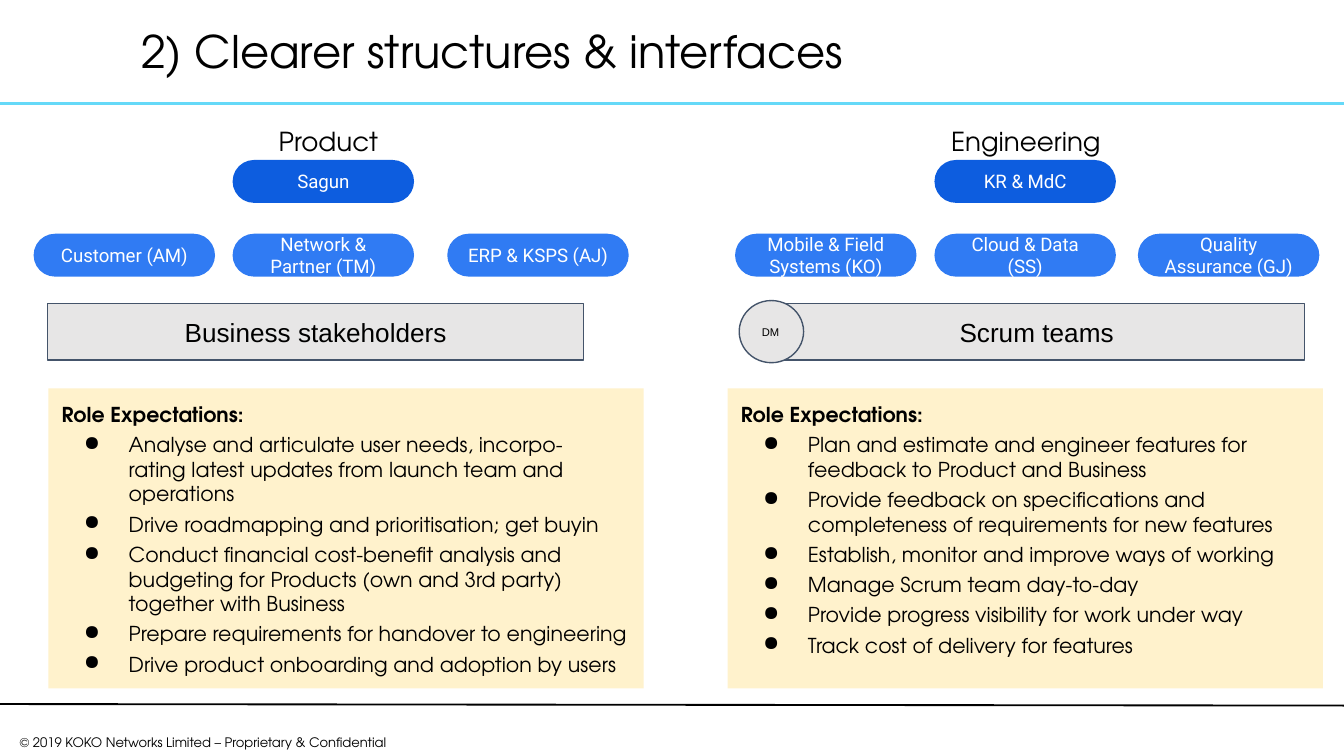
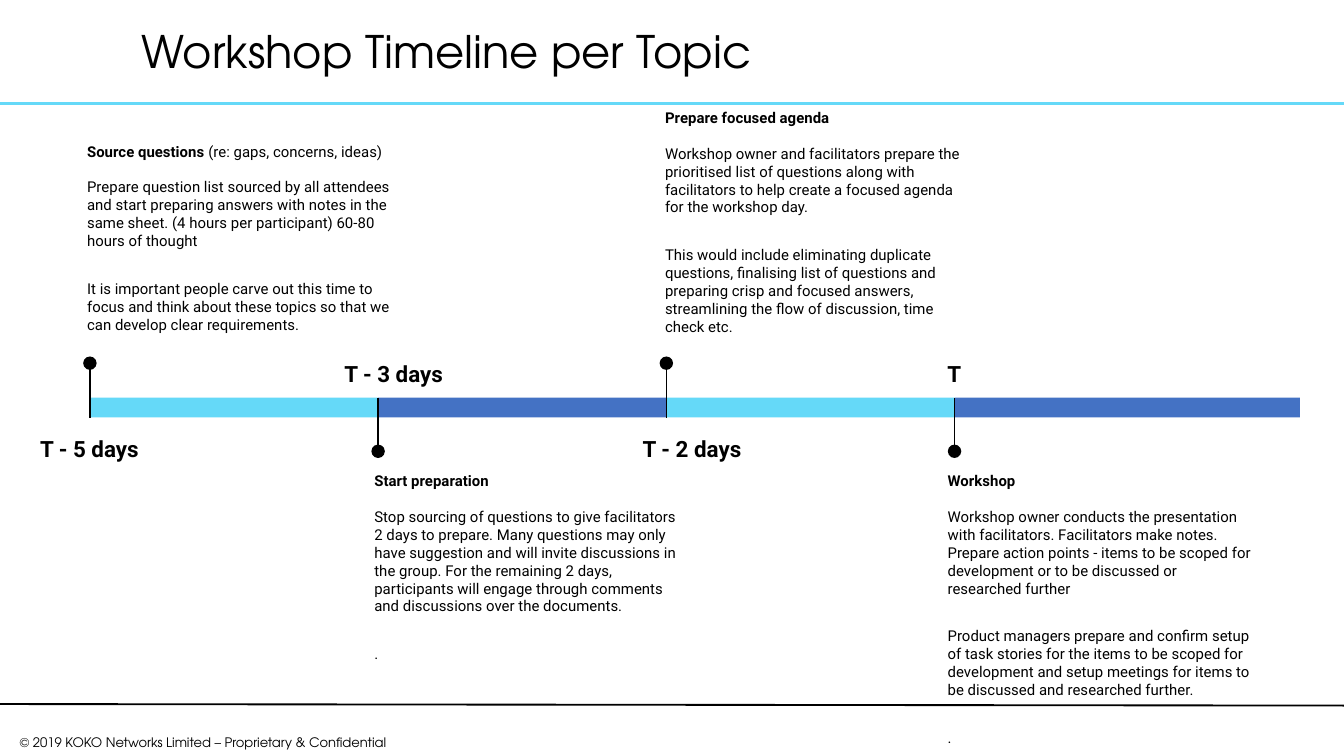
"""Build two slides: team structures and a workshop timeline."""
from lxml import etree
from pptx import Presentation
from pptx import util as u
from pptx.dml import color as dml
from pptx.enum import shapes as es, text as et
from pptx.oxml import ns

Pt = u.Pt
rgb = dml.RGBColor.from_string
SHAPE, ALIGN, ANCHOR = es.MSO_SHAPE, et.PP_ALIGN, et.MSO_ANCHOR
ADVENTOR, ROBOTO, ARIAL = "TeX Gyre Adventor", "Roboto", "Arial"
BLACK, WHITE, CYAN, BLUE = "000000", "FFFFFF", "65D9F8", "4472C4"
LEAD, MEMBER, GREY, SLATE, CREAM = "0D5DDF", "307BF3", "E7E6E6", "44546A", "FFF2CC"


def place(shapes, kind, box, lines=(), size=10, font=ADVENTOR, ink=BLACK, fill=None,
          edge=None, align=ALIGN.CENTER, anchor=ANCHOR.TOP, bold=False, inset=(7.2, 7.2)):
    box = [Pt(v) for v in box]
    if kind is None:
        part = shapes.add_textbox(*box)
    else:
        part = shapes.add_shape(kind, *box)
        part.shadow.inherit = False
        part.fill.solid()
        part.fill.fore_color.rgb = rgb(fill)
        if edge:
            part.line.color.rgb = rgb(edge)
            part.line.width = Pt(0.75)
        else:
            part.line.fill.background()
    if kind == SHAPE.ROUNDED_RECTANGLE:
        part.adjustments[0] = 0.5
    frame = part.text_frame
    frame.word_wrap = True
    frame.vertical_anchor = anchor
    frame.margin_left = frame.margin_right = Pt(inset[0])
    frame.margin_top = frame.margin_bottom = Pt(inset[1])
    for i, line in enumerate(lines):
        paragraph = frame.add_paragraph() if i else frame.paragraphs[0]
        paragraph.text = line
        paragraph.alignment = align
        for run in paragraph.runs:
            run.font.size = Pt(size)
            run.font.name = font
            run.font.bold = bold
            run.font.color.rgb = rgb(ink)
    return frame.paragraphs


def rule(shapes, x1, y1, x2, y2, ink, width):
    line = shapes.add_connector(es.MSO_CONNECTOR.STRAIGHT, Pt(x1), Pt(y1), Pt(x2), Pt(y2))
    line.line.color.rgb = rgb(ink)
    line.line.width = Pt(width)
    etree.SubElement(line._element.spPr, ns.qn("a:effectLst"))


deck = Presentation()
deck.slide_width, deck.slide_height = Pt(720), Pt(405)

canvases = []
for title in ("2) Clearer structures & interfaces", "Workshop Timeline per Topic"):
    canvas = deck.slides.add_slide(deck.slide_layouts[6]).shapes
    rule(canvas, 0, 55.4, 720, 55.4, CYAN, 1.5)
    place(canvas, None, (0, 390.2, 217.4, 15),
          ["© 2019 KOKO Networks Limited – Proprietary & Confidential"], 7, inset=(5, 3))
    rule(canvas, 0, 377.2, 720, 378, BLACK, 1)
    heading = place(canvas, None, (70.6, 5.8, 622, 46), [title], 24, align=ALIGN.LEFT,
                    anchor=ANCHOR.MIDDLE, inset=(5, 3))
    heading[0].line_spacing = 0.9
    canvases.append(canvas)
structure, timeline = canvases

teams = [
    ("Product", 105.1, "Sagun", 124.6,
     [(18, "Customer (AM)"), (124.6, "Network & Partner (TM)"), (239.6, "ERP & KSPS (AJ)")],
     "Business stakeholders", 25.6, 25.9,
     ["Analyse and articulate user needs, incorpo-\nrating latest updates from launch team and operations",
      "Drive roadmapping and prioritisation; get buyin",
      "Conduct financial cost-benefit analysis and budgeting for Products (own and 3rd party) together with Business",
      "Prepare requirements for handover to engineering",
      "Drive product onboarding and adoption by users"]),
    ("Engineering", 478.8, "KR & MdC", 500.6,
     [(393.8, "Mobile & Field Systems (KO)"), (500.6, "Cloud & Data (SS)"),
      (609.6, "Quality Assurance (GJ)")],
     "Scrum teams", 411.8, 389.8,
     ["Plan and estimate and engineer features for feedback to Product and Business",
      "Provide feedback on specifications and completeness of requirements for new features",
      "Establish, monitor and improve ways of working",
      "Manage Scrum team day-to-day",
      "Provide progress visibility for work under way",
      "Track cost of delivery for features"]),
]
for team, team_x, lead, lead_x, members, partner, partner_x, roles_x, roles in teams:
    place(structure, None, (team_x, 59.8, 141.8, 33), [team], 14)
    pills = [(lead_x, 85.7, lead, LEAD)] + [(x, 125.2, name, MEMBER) for x, name in members]
    for x, y, name, fill in pills:
        place(structure, SHAPE.ROUNDED_RECTANGLE, (x, y, 97.2, 23), [name], 10, ROBOTO,
              WHITE, fill, anchor=ANCHOR.MIDDLE)
    place(structure, SHAPE.RECTANGLE, (partner_x, 162.7, 287.2, 30.2), [partner], 14, ARIAL,
          fill=GREY, edge=SLATE, anchor=ANCHOR.MIDDLE)
    expectations = place(structure, SHAPE.RECTANGLE, (roles_x, 208, 319, 160.8),
                         ["Role Expectations:"] + roles, 11, fill=CREAM, align=ALIGN.LEFT)
    expectations[0].runs[0].font.bold = True
    for role in expectations[1:]:
        props = role._p.get_or_add_pPr()
        props.set("marL", str(Pt(36)))
        props.set("indent", str(Pt(-24)))
        bullet_ink = etree.SubElement(props, ns.qn("a:buClr"))
        etree.SubElement(bullet_ink, ns.qn("a:srgbClr")).set("val", BLACK)
        etree.SubElement(props, ns.qn("a:buChar")).set("char", "●")
        role.space_before = Pt(3)
place(structure, SHAPE.OVAL, (396, 161, 34.5, 33.3), ["DM"], 6, ARIAL, fill=GREY,
      edge=SLATE, align=ALIGN.LEFT, anchor=ANCHOR.MIDDLE)

milestones = [
    ("T - 5 days", 13.7, 68.4, 39.6, 69.1, 74.2, "Source questions ", "(re: gaps, concerns, ideas)",
     ["Prepare question list sourced by all attendees and start preparing answers with notes in the same sheet. (4 hours per participant) 60-80 hours of thought",
      "It is important people carve out this time to focus and think about these topics so that we can develop clear requirements."]),
    ("T - 3 days", 173.5, 74.9, 193.5, 245.7, 74.2, "Start preparation", "",
     ["Stop sourcing of questions to give facilitators 2 days to prepare. Many questions may only have suggestion and will invite discussions in the group. For the remaining 2 days, participants will engage through comments and discussions over the documents.",
      "."]),
    ("T - 2 days", 331.2, 79.2, 349.2, 51.1, 74.2, "Prepare focused agenda", "",
     ["Workshop owner and facilitators prepare the prioritised list of questions along with facilitators to help create a focused agenda for the workshop day.",
      "This would include eliminating duplicate questions, finalising list of questions and preparing crisp and focused answers, streamlining the flow of discussion, time check etc."]),
    ("T", 481.7, 59, 500.6, 245.7, 136.8, "Workshop", "",
     ["Workshop owner conducts the presentation with facilitators. Facilitators make notes. Prepare action points - items to be scoped for development or to be discussed or researched further",
      "Product managers prepare and confirm setup of task stories for the items to be scoped for development and setup meetings for items to be discussed and researched further.",
      "."]),
]
STEP, BAR_TOP, BAR_HEIGHT, DOT = 154.4, 213.1, 10.6, 7.2
for i, (day, day_x, day_width, note_x, note_y, note_height, topic, aside, steps) in enumerate(milestones):
    milestone = timeline.add_group_shape().shapes
    x = 48.2 + i * STEP
    note_above = i % 2 == 0
    dot_y = 194.6 if note_above else 241.8
    stem_end = BAR_TOP + BAR_HEIGHT if note_above else BAR_TOP
    place(milestone, SHAPE.RECTANGLE, (x, BAR_TOP, STEP if i < 3 else 185, BAR_HEIGHT),
          fill=CYAN if note_above else BLUE)
    rule(milestone, x, dot_y, x, stem_end, BLACK, 0.75)
    place(milestone, SHAPE.OVAL, (x - DOT / 2, dot_y - DOT / 2, DOT, DOT), fill=BLACK)
    label = place(milestone, None, (day_x, 223.9 if note_above else 183.6, day_width, 29.5),
                  [day], 12, ROBOTO, bold=True)
    label[0].line_spacing = 1.15
    note = place(milestone, None, (note_x, note_y, 177.1, note_height), [topic] + steps, 8,
                 ROBOTO, align=ALIGN.LEFT)
    note[0].runs[0].font.bold = True
    if aside:
        remark = note[0].add_run()
        remark.text = aside
        remark.font.size, remark.font.name = Pt(8), ROBOTO
        remark.font.color.rgb = rgb(BLACK)
    note[1].space_before = Pt(9.5)
    for step in note[2:]:
        step.space_before = Pt(16)

deck.save("out.pptx")
